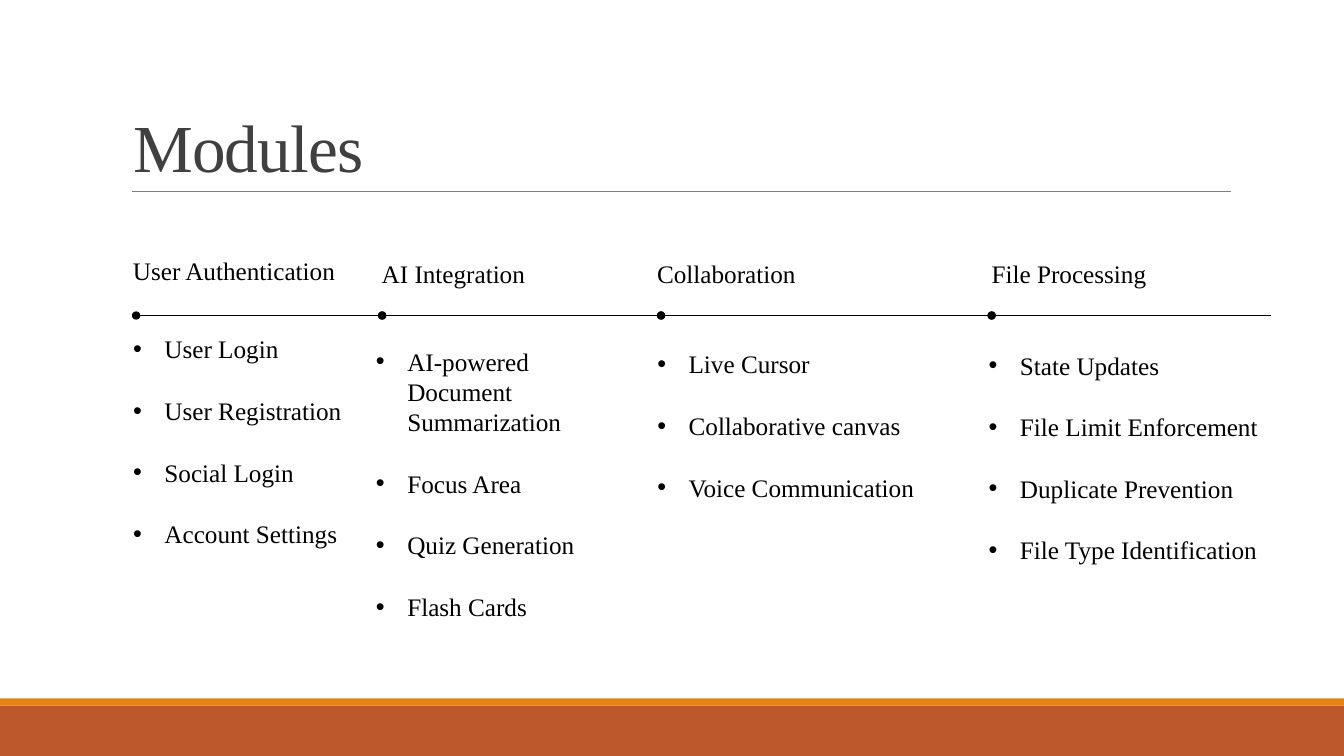
from pptx import Presentation
from pptx.dml.color import RGBColor
from pptx.enum.shapes import MSO_CONNECTOR, MSO_SHAPE
from pptx.enum.text import MSO_ANCHOR, MSO_AUTO_SIZE, PP_ALIGN
from pptx.oxml.ns import qn
from pptx.util import Cm, Pt
from lxml.etree import SubElement

FONT = "Times New Roman"
COLORS = {"rust": "BD582C", "orange": "E48312", "rule": "808080",
          "title": "404040", "text": "000000"}
TITLE = "Modules"

# Boxes are left, top, width, height in cm; node is where the timeline dot sits
MODULES = [
    {"heading": "User Authentication", "heading_box": (3.1, 6.32, 5.89, 1.02),
     "items": ["User Login", "User Registration", "Social Login", "Account Settings"],
     "items_box": (3.1, 8.28, 7.11, 5.64), "node": 3.43},
    {"heading": "AI Integration", "heading_box": (9.37, 6.38, 4.32, 1.02),
     "items": ["AI-powered Document Summarization", "Focus Area",
               "Quiz Generation", "Flash Cards"],
     "items_box": (9.22, 8.59, 7.11, 7.19), "node": 9.63},
    {"heading": "Collaboration", "heading_box": (16.31, 6.39, 6.2, 1.02),
     "items": ["Live Cursor", "Collaborative canvas", "Voice Communication"],
     "items_box": (16.31, 8.66, 8.33, 4.11), "node": 16.66},
    {"heading": "File Processing", "heading_box": (24.74, 6.38, 4.45, 1.02),
     "items": ["State Updates", "File Limit Enforcement",
               "Duplicate Prevention", "File Type Identification"],
     "items_box": (24.66, 8.69, 7.87, 5.64), "node": 24.99},
]
TIMELINE_Y, TIMELINE_END = 7.95, 32.03
SLIDE_W, SLIDE_H = 33.87, 19.05
BANDS = [("rust", 17.78, 1.27), ("orange", 17.6, 0.18)]


def rgb(name):
    return RGBColor.from_string(COLORS[name])


def place(shape, box):
    shape.left, shape.top, shape.width, shape.height = map(Cm, box)


def write(shape, lines, size=18, color="text", anchor=MSO_ANCHOR.TOP,
          bullets=False, gap=0, line_spacing=1.0, tracking=None):
    frame = shape.text_frame
    frame.word_wrap = True
    frame.auto_size = MSO_AUTO_SIZE.NONE
    frame.vertical_anchor = anchor
    for index, line in enumerate(lines):
        paragraph = frame.paragraphs[0] if index == 0 else frame.add_paragraph()
        paragraph.alignment = PP_ALIGN.LEFT
        paragraph.line_spacing = line_spacing
        paragraph.space_before = Pt(gap if index else 0)
        paragraph.space_after = Pt(0)
        if bullets:
            properties = paragraph._p.get_or_add_pPr()
            properties.set("marL", str(Cm(0.79)))
            properties.set("indent", str(-Cm(0.79)))
            SubElement(properties, qn("a:buFont"), typeface="Arial")
            SubElement(properties, qn("a:buChar"), char="•")
        run = paragraph.add_run()
        run.text = line
        run.font.name, run.font.size, run.font.bold = FONT, Pt(size), False
        run.font.color.rgb = rgb(color)
        if tracking is not None:
            run._r.get_or_add_rPr().set("spc", str(tracking))


def add_line(slide, start, end, y, color, weight, dots=()):
    """Draw a horizontal line; dots lists the ends that carry an oval."""
    line = slide.shapes.add_connector(
        MSO_CONNECTOR.STRAIGHT, Cm(start), Cm(y), Cm(end), Cm(y))
    line.line.color.rgb = rgb(color)
    line.line.width = Pt(weight)
    for end_tag in dots:
        SubElement(line.line._get_or_add_ln(), qn(end_tag), type="oval")
    SubElement(line._element.spPr, qn("a:effectLst"))


def main():
    deck = Presentation()
    deck.slide_width, deck.slide_height = Cm(SLIDE_W), Cm(SLIDE_H)
    # The Comparison layout offers a title and four bodies, one per module
    slide = deck.slides.add_slide(deck.slide_layouts[4])
    title, *bodies = list(slide.placeholders)[:5]

    for color, top, height in BANDS:
        band = slide.shapes.add_shape(
            MSO_SHAPE.RECTANGLE, 0, Cm(top), Cm(SLIDE_W), Cm(height))
        band.shadow.inherit = False
        band.fill.solid()
        band.fill.fore_color.rgb = rgb(color)
        band.line.fill.background()
    add_line(slide, 3.33, 31.01, 4.83, "rule", 0.5)

    place(title, (3.1, 0.79, 27.03, 4.04))
    write(title, [TITLE], size=48, color="title", anchor=MSO_ANCHOR.BOTTOM,
          line_spacing=0.85, tracking=-50)

    for module, body in zip(MODULES, bodies):
        heading = slide.shapes.add_textbox(*map(Cm, module["heading_box"]))
        write(heading, [module["heading"]])
        place(body, module["items_box"])
        write(body, module["items"], bullets=True, gap=22.4)

    nodes = [module["node"] for module in MODULES] + [TIMELINE_END]
    for start, end in zip(nodes, nodes[1:]):
        dots = ["a:headEnd"] if end == TIMELINE_END else ["a:headEnd", "a:tailEnd"]
        add_line(slide, start, end, TIMELINE_Y, "text", 1, dots)

    deck.save("out.pptx")


if __name__ == "__main__":
    main()
